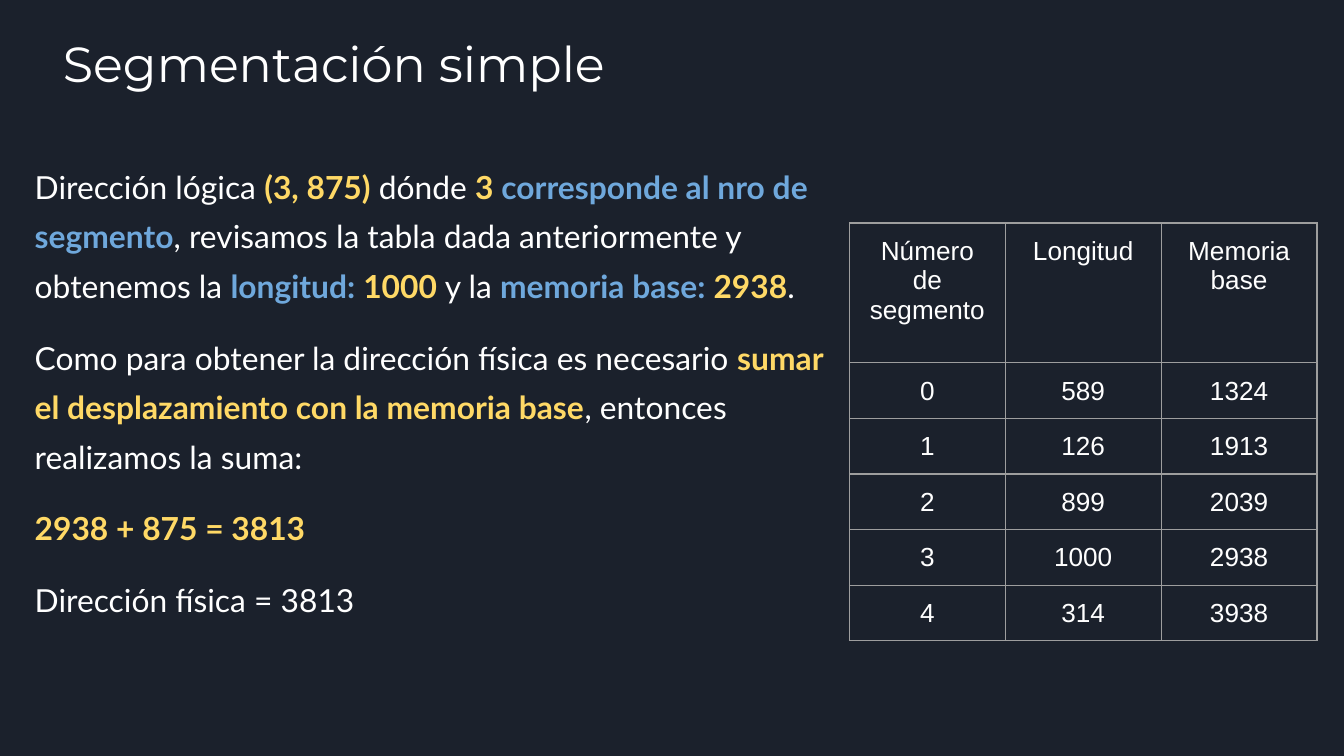
from lxml.etree import SubElement
from pptx import Presentation
from pptx.dml.color import RGBColor
from pptx.enum.text import PP_ALIGN
from pptx.oxml.ns import qn
from pptx.util import Inches, Pt

COLORS = {"bg": "1B212C", "white": "FFFFFF", "yellow": "FFD966",
          "blue": "6FA8DC", "grid": "9E9E9E"}

BODY = [
    [("Dirección lógica ", "white"), ("(3, 875)", "yellow"), (" dónde ", "white"),
     ("3", "yellow"), (" corresponde al nro de segmento", "blue"),
     (", revisamos la tabla dada anteriormente y obtenemos la ", "white"),
     ("longitud: ", "blue"), ("1000 ", "yellow"), ("y la ", "white"),
     ("memoria base: ", "blue"), ("2938", "yellow"), (".", "white")],
    [("Como para obtener la dirección física es necesario ", "white"),
     ("sumar el desplazamiento con la memoria base", "yellow"),
     (", entonces realizamos la suma:", "white")],
    [("2938 + 875 = 3813", "yellow")],
    [("Dirección física = 3813", "white")],
]

SEGMENTS = [
    ("Número de segmento", "Longitud", "Memoria base"),
    (0, 589, 1324),
    (1, 126, 1913),
    (2, 899, 2039),
    (3, 1000, 2938),
    (4, 314, 3938),
]


class Deck:
    """Holds the style and the current slide."""

    def __init__(self, width, height):
        self.prs = Presentation()
        self.prs.slide_width, self.prs.slide_height = Inches(width), Inches(height)
        self.s = self.prs.slides.add_slide(self.prs.slide_layouts[6])
        fill = self.s.background.fill
        fill.solid()
        fill.fore_color.rgb = self.color("bg")

    def color(self, name):
        return RGBColor.from_string(COLORS[name])

    def run(self, p, text, font, size, color="white"):
        r = p.add_run()
        r.text = text
        r.font.name, r.font.size = font, Pt(size)
        r.font.color.rgb = self.color(color)
        r.font.bold = color != "white"

    def margins(self, box, bottom=0.1):
        box.margin_left = box.margin_right = box.margin_top = Inches(0.1)
        box.margin_bottom = Inches(bottom)

    def text(self, at, paragraphs, font, size, spacing=1.0, gap=0):
        sp = self.s.shapes.add_textbox(*map(Inches, at))
        tf = sp.text_frame
        tf.word_wrap = True
        self.margins(tf)
        for i, runs in enumerate(paragraphs):
            p = tf.add_paragraph() if i else tf.paragraphs[0]
            p.line_spacing = spacing
            p.space_before = Pt(gap if i else 0)
            for text, color in runs:
                self.run(p, text, font, size, color)

    def borders(self, cell):
        tcPr = cell._tc.get_or_add_tcPr()
        for i, side in enumerate(("a:lnL", "a:lnR", "a:lnT", "a:lnB")):
            ln = tcPr.makeelement(qn(side), {"w": str(Pt(0.75))})
            tcPr.insert(i, ln)
            fill = SubElement(ln, qn("a:solidFill"))
            SubElement(fill, qn("a:srgbClr"), val=COLORS["grid"])

    def table(self, left, top, col_width, row_heights, rows, font, size):
        cols = len(rows[0])
        table = self.s.shapes.add_table(
            len(rows), cols, Inches(left), Inches(top),
            Inches(col_width * cols), Inches(sum(row_heights))).table
        table.first_row = table.horz_banding = False
        for col in table.columns:
            col.width = Inches(col_width)
        for row, height, values in zip(table.rows, row_heights, rows):
            row.height = Inches(height)
            for cell, value in zip(row.cells, values):
                cell.fill.background()
                self.margins(cell, bottom=0.08)
                self.borders(cell)
                p = cell.text_frame.paragraphs[0]
                p.alignment = PP_ALIGN.CENTER
                self.run(p, str(value), font, size)


def main():
    deck = Deck(10, 10 * 9 / 16)
    deck.text((0.37, 0.15, 4.51, 0.61), [[("Segmentación simple", "white")]],
              "Montserrat", 26.4)
    deck.text((0.16, 1.06, 6.16, 4.41), BODY, "Lato", 17, spacing=1.3, gap=12)
    deck.table(6.32, 1.66, 1.16, [1.04] + [0.41] * 5, SEGMENTS, "Arial", 14)
    deck.prs.save("out.pptx")


if __name__ == "__main__":
    main()
